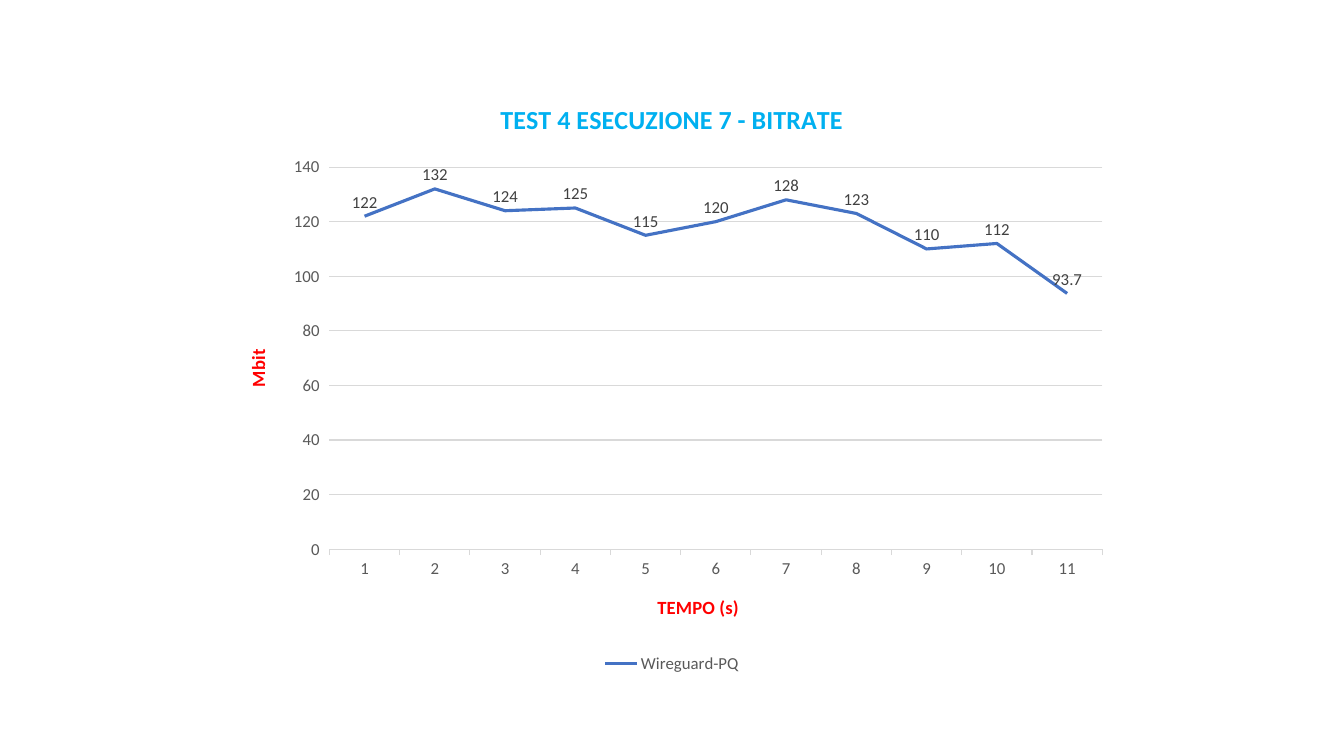
from pptx import Presentation
from pptx.chart.data import CategoryChartData
from pptx.dml.color import RGBColor
from pptx.enum.chart import XL_CHART_TYPE, XL_LABEL_POSITION, XL_LEGEND_POSITION, XL_MARKER_STYLE, XL_TICK_MARK
from pptx.util import Inches, Pt

LINE_CHART = XL_CHART_TYPE.LINE
ABOVE = XL_LABEL_POSITION.ABOVE
BOTTOM = XL_LEGEND_POSITION.BOTTOM
NO_MARKER = XL_MARKER_STYLE.NONE
OUTSIDE = XL_TICK_MARK.OUTSIDE

COLORS = {
    "title": "00B0F0",
    "axis_title": "FF0000",
    "text": "595959",
    "label": "404040",
    "grid": "D9D9D9",
    "bitrate": "4472C4",
}
BITRATES = [122, 132, 124, 125, 115, 120, 128, 123, 110, 112, 93.7]


class BitrateSlide:
    """Holds the chart style and the slide being built."""

    def __init__(self, presentation):
        self.font_name = "Calibri"
        self.text_size = 12
        self.slide = presentation.slides.add_slide(presentation.slide_layouts[6])

    def style_font(self, font, color, size=None, bold=False):
        font.name = self.font_name
        font.size = Pt(size or self.text_size)
        font.bold = bold
        font.color.rgb = RGBColor.from_string(COLORS[color])

    def style_line(self, line, color, width):
        line.color.rgb = RGBColor.from_string(COLORS[color])
        line.width = Pt(width)

    def add_title(self, owner, text, color, size):
        frame = owner.text_frame
        frame.text = text
        self.style_font(frame.paragraphs[0].runs[0].font, color, size, True)
        return frame

    def add_axis(self, axis, text):
        axis.major_tick_mark = OUTSIDE
        self.style_font(axis.tick_labels.font, "text")
        return self.add_title(axis.axis_title, text, "axis_title", 13.3)

    def add_line_chart(self, left, top, width, height):
        data = CategoryChartData()
        data.categories = [str(second) for second in range(1, len(BITRATES) + 1)]
        data.add_series("Wireguard-PQ", BITRATES)
        chart = self.slide.shapes.add_chart(
            LINE_CHART, Inches(left), Inches(top), Inches(width), Inches(height), data
        ).chart
        self.style_font(chart.font, "text")
        self.add_title(chart.chart_title, "TEST 4 ESECUZIONE 7 - BITRATE", "title", 18.6)
        chart.chart_title.include_in_layout = False

        self.add_axis(chart.category_axis, "TEMPO (s)")
        self.style_line(chart.category_axis.format.line, "grid", 0.75)

        bitrate_axis = chart.value_axis
        bitrate_title = self.add_axis(bitrate_axis, "Mbit")
        bitrate_body = bitrate_title._txBody.bodyPr
        bitrate_body.set("rot", "-5400000")
        bitrate_body.set("vert", "horz")
        bitrate_axis.minimum_scale = 0
        bitrate_axis.maximum_scale = 140
        bitrate_axis.major_unit = 20
        bitrate_axis.format.line.fill.background()
        self.style_line(bitrate_axis.major_gridlines.format.line, "grid", 0.75)

        chart.has_legend = True
        chart.legend.position = BOTTOM
        chart.legend.include_in_layout = False
        self.style_font(chart.legend.font, "text")

        plot = chart.plots[0]
        plot.vary_by_categories = False
        bitrate = plot.series[0]
        bitrate.smooth = False
        bitrate.marker.style = NO_MARKER
        self.style_line(bitrate.format.line, "bitrate", 2.25)
        labels = bitrate.data_labels
        labels.show_value = True
        labels.position = ABOVE
        self.style_font(labels.font, "label")


def main():
    presentation = Presentation()
    presentation.slide_width = Inches(13.33)
    presentation.slide_height = Inches(7.5)
    BitrateSlide(presentation).add_line_chart(2.22, 0.79, 8.89, 5.93)
    presentation.save("out.pptx")


if __name__ == "__main__":
    main()
